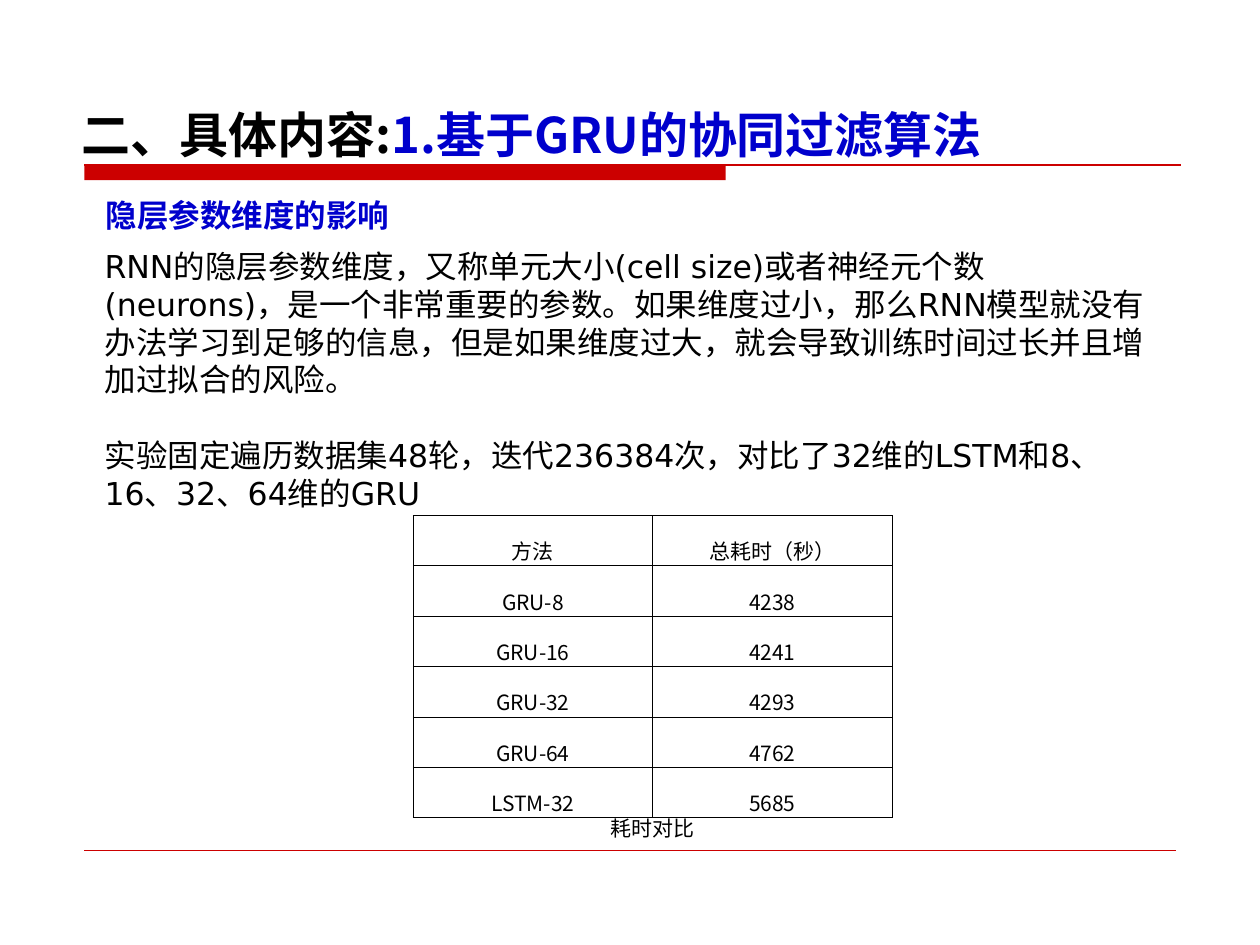
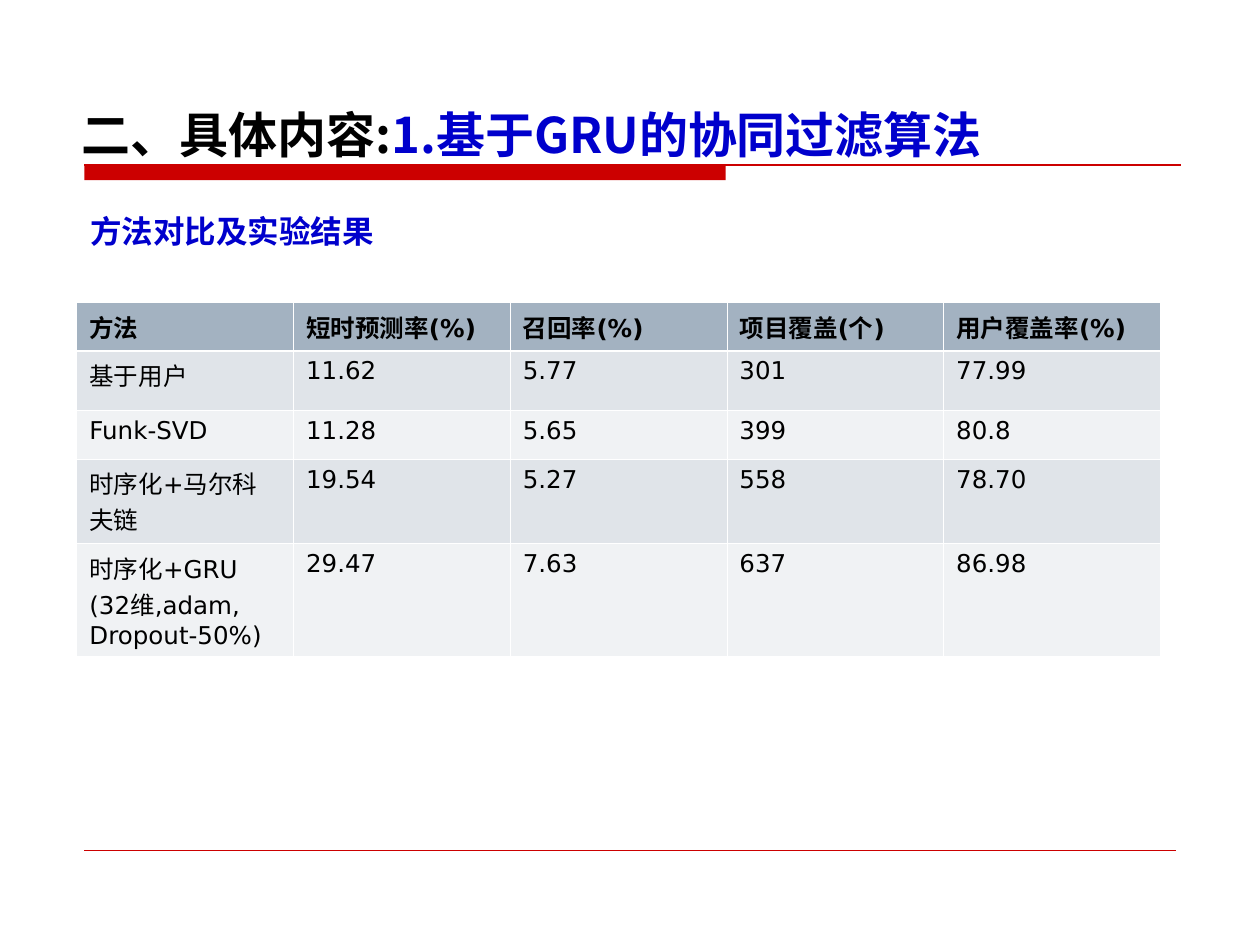
from lxml.etree import SubElement
from pptx import Presentation
from pptx.dml.color import RGBColor
from pptx.enum.shapes import MSO_CONNECTOR, MSO_SHAPE
from pptx.enum.text import MSO_ANCHOR, MSO_AUTO_SIZE, PP_ALIGN
from pptx.oxml.ns import qn
from pptx.util import Inches, Pt

CJK = "Noto Sans CJK SC"
LATIN = "DejaVu Sans"
BLACK, BLUE, RED, WHITE = "000000", "0000CC", "CC0000", "FFFFFF"
HEADER_FILL, ODD_FILL, EVEN_FILL = "A3B2C1", "E0E4E9", "F0F2F4"
TITLE_ONLY, TITLE_AND_BODY = 5, 1


def color(hex_string):
    return RGBColor.from_string(hex_string)


def add_span(para, text, size, font=LATIN, ink=BLACK, bold=False):
    span = para.add_run()
    span.text = text
    span.font.name = font
    span.font.size = Pt(size)
    span.font.bold = bold
    span.font.color.rgb = color(ink)
    east_asian = SubElement(span.font._element, qn("a:ea"))
    east_asian.set("typeface", CJK)


def set_border(cell, side, ink, width):
    """Draw one cell edge; side is L, R, T or B."""
    edge = SubElement(cell._tc.get_or_add_tcPr(), qn(f"a:ln{side}"))
    edge.set("w", str(Pt(width)))
    fill = SubElement(edge, qn("a:solidFill"))
    SubElement(fill, qn("a:srgbClr")).set("val", ink)


def tight_lines(para, size):
    para.line_spacing = Pt(size * 1.2)
    para.space_before = para.space_after = Pt(0)


class SlideWriter:
    def __init__(self):
        self.deck = Presentation()
        self.deck.slide_width = Inches(10)
        self.deck.slide_height = Inches(7.5)
        self.slide = None

    def new_slide(self, layout):
        self.slide = self.deck.slides.add_slide(self.deck.slide_layouts[layout])
        self.bar(0.67, 1.31, 5.09, 0.12)
        self.rule(0.67, 9.37, 1.31, 0.75)
        self.rule(0.67, 9.33, 6.75, 0.25)
        self.title()

    def bar(self, left, top, width, height):
        bar = self.slide.shapes.add_shape(
            MSO_SHAPE.RECTANGLE, Inches(left), Inches(top), Inches(width), Inches(height))
        bar.shadow.inherit = False
        bar.fill.solid()
        bar.fill.fore_color.rgb = color(RED)
        bar.line.fill.background()

    def rule(self, left, right, y, width):
        rule = self.slide.shapes.add_connector(
            MSO_CONNECTOR.STRAIGHT, Inches(left), Inches(y), Inches(right), Inches(y))
        rule.line.color.rgb = color(RED)
        rule.line.width = Pt(width)
        SubElement(rule._element.spPr, qn("a:effectLst"))

    def place(self, box, left, top, width, height):
        box.left, box.top = Inches(left), Inches(top)
        box.width, box.height = Inches(width), Inches(height)
        box.text_frame.word_wrap = True
        box.text_frame.auto_size = MSO_AUTO_SIZE.NONE

    def title(self):
        box = self.slide.shapes.title
        self.place(box, 0.55, 0.72, 8.75, 0.63)
        box.text_frame.vertical_anchor = MSO_ANCHOR.BOTTOM
        para = box.text_frame.paragraphs[0]
        para.alignment = PP_ALIGN.LEFT
        for text, ink in [("二、具体内容:", BLACK), ("1.基于GRU的协同过滤算法", BLUE)]:
            add_span(para, text, 28, CJK, ink, True)

    def label(self, text, left, top, width, size, **style):
        box = self.slide.shapes.add_textbox(0, 0, 0, 0)
        self.place(box, left, top, width, size / 60 + 0.1)
        para = box.text_frame.paragraphs[0]
        tight_lines(para, size)
        add_span(para, text, size, **style)

    def heading(self, text, left, top):
        self.label(text, left, top, 3, 18, font=CJK, ink=BLUE, bold=True)

    def body(self, texts, left, top, width, height):
        box = self.slide.placeholders[1]
        self.place(box, left, top, width, height)
        frame = box.text_frame
        for index, text in enumerate(texts):
            para = frame.add_paragraph() if index else frame.paragraphs[0]
            tight_lines(para, 18)
            if index:
                para.space_before = Pt(21.6)
            properties = para._p.get_or_add_pPr()
            properties.set("marL", "0")
            properties.set("indent", "0")
            SubElement(properties, qn("a:buNone"))
            add_span(para, text, 18)

    def table(self, rows, left, top, column_width, heights, style_cell):
        """Add a table; style_cell(cell, row_index, text) formats each cell."""
        columns = len(rows[0])
        table = self.slide.shapes.add_table(
            len(rows), columns, Inches(left), Inches(top),
            Inches(column_width * columns), Inches(sum(heights))).table
        table.first_row = table.horz_banding = False
        for column in table.columns:
            column.width = Inches(column_width)
        for index, (texts, height) in enumerate(zip(rows, heights)):
            table.rows[index].height = Inches(height)
            for position, text in enumerate(texts):
                style_cell(table.cell(index, position), index, text)


def style_timing_cell(cell, row, text):
    cell.margin_top = cell.margin_bottom = 0
    cell.vertical_anchor = MSO_ANCHOR.BOTTOM
    para = cell.text_frame.paragraphs[0]
    para.alignment = PP_ALIGN.CENTER
    para.line_spacing = 1.5
    add_span(para, text, 12, CJK)
    for side in "LRTB":
        set_border(cell, side, BLACK, 0.45)
    cell.fill.background()


def style_result_cell(cell, row, text):
    frame = cell.text_frame
    for index, line in enumerate(text.split("\n")):
        para = frame.add_paragraph() if index else frame.paragraphs[0]
        add_span(para, line, 14, bold=row == 0)
    for side in "LRTB":
        under_header = (row, side) in [(0, "B"), (1, "T")]
        set_border(cell, side, WHITE, 1.47 if under_header else 0.45)
    cell.fill.solid()
    fill = HEADER_FILL if row == 0 else ODD_FILL if row % 2 else EVEN_FILL
    cell.fill.fore_color.rgb = color(fill)


def hidden_size_slide(writer):
    writer.new_slide(TITLE_AND_BODY)
    writer.heading("隐层参数维度的影响", 0.74, 1.51)
    writer.body([
        "RNN的隐层参数维度，又称单元大小(cell size)或者神经元个数(neurons)，"
        "是一个非常重要的参数。如果维度过小，那么RNN模型就没有办法学习到足够的信息，"
        "但是如果维度过大，就会导致训练时间过长并且增加过拟合的风险。",
        "实验固定遍历数据集48轮，迭代236384次，对比了32维的LSTM和8、16、32、64维的GRU",
    ], 0.73, 1.91, 8.54, 2.2)
    timings = [
        ("方法", "总耗时（秒）"),
        ("GRU-8", "4238"),
        ("GRU-16", "4241"),
        ("GRU-32", "4293"),
        ("GRU-64", "4762"),
        ("LSTM-32", "5685"),
    ]
    writer.table(timings, 3.28, 4.09, 1.9, [0.4] * len(timings), style_timing_cell)
    writer.label("耗时对比", 4.75, 6.42, 1, 12)


def results_slide(writer):
    writer.new_slide(TITLE_ONLY)
    writer.heading("方法对比及实验结果", 0.62, 1.63)
    results = [
        ("方法", "短时预测率(%)", "召回率(%)", "项目覆盖(个)", "用户覆盖率(%)"),
        ("基于用户", "11.62", "5.77", "301", "77.99"),
        ("Funk-SVD", "11.28", "5.65", "399", "80.8"),
        ("时序化+马尔科夫链", "19.54", "5.27", "558", "78.70"),
        ("时序化+GRU\n(32维,adam,\nDropout-50%)", "29.47", "7.63", "637", "86.98"),
    ]
    heights = [0.37, 0.47, 0.39, 0.67, 0.89]
    writer.table(results, 0.61, 2.4, 1.72, heights, style_result_cell)


def main():
    writer = SlideWriter()
    hidden_size_slide(writer)
    results_slide(writer)
    writer.deck.save("out.pptx")


if __name__ == "__main__":
    main()
